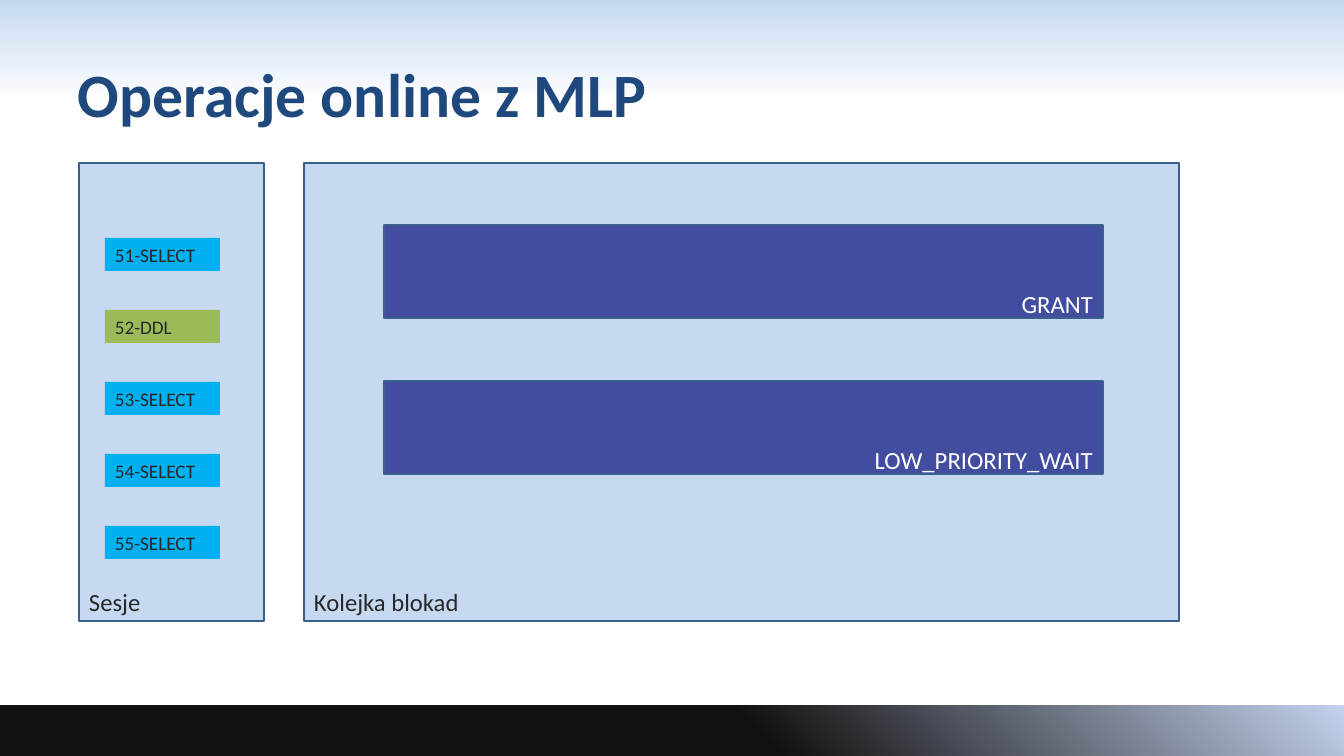
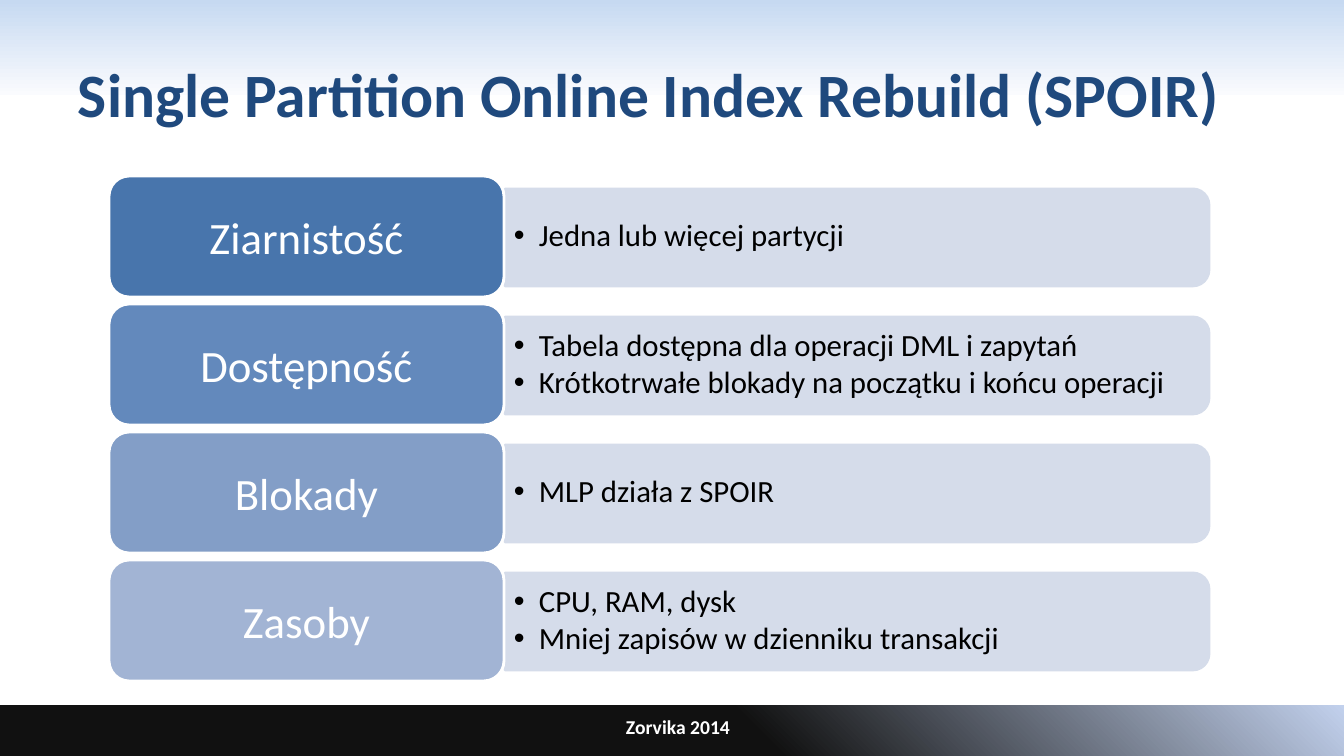
"""Build two slides on online index operations and lock queues."""
import pptx
import pptx.util
import pptx.dml.color
import pptx.enum.shapes
import pptx.enum.text
import pptx.oxml.ns
import lxml.etree

SHAPE = pptx.enum.shapes.MSO_SHAPE
ALIGN = pptx.enum.text.PP_ALIGN
ANCHOR = pptx.enum.text.MSO_ANCHOR

PAGE_WIDTH, PAGE_HEIGHT = 1344, 756
EMU_PER_PX = 12192000 / PAGE_WIDTH
FONT = "Calibri"
COLORS = {
    "title": "1F497D",
    "band_top": "C6D9F1",
    "band_fade": "FAFBFE",
    "footer_dark": "111111",
    "footer_light": "C2D1ED",
    "panel": "C6D9F1",
    "outline": "3A5F8C",
    "queue": "424DA0",
    "select": "00B0F0",
    "ddl": "9BBB59",
    "dark": "282828",
    "black": "000000",
    "white": "FFFFFF",
    "detail": "D5DCEA",
    "topic_1": "4875AC",
    "topic_2": "6389BC",
    "topic_3": "839EC7",
    "topic_4": "A2B4D4",
}
SESSIONS = [
    ("51-SELECT", "select"),
    ("52-DDL", "ddl"),
    ("53-SELECT", "select"),
    ("54-SELECT", "select"),
    ("55-SELECT", "select"),
]
TOPICS = [
    ("Ziarnistość", ["Jedna lub więcej partycji"]),
    ("Dostępność", ["Tabela dostępna dla operacji DML i zapytań",
                    "Krótkotrwałe blokady na początku i końcu operacji"]),
    ("Blokady", ["MLP działa z SPOIR"]),
    ("Zasoby", ["CPU, RAM, dysk", "Mniej zapisów w dzienniku transakcji"]),
]


def px(length):
    return pptx.util.Emu(round(length * EMU_PER_PX))


def rgb(name):
    return pptx.dml.color.RGBColor.from_string(COLORS[name])


def add_bullet(para, indent):
    properties = para._p.get_or_add_pPr()
    properties.set("marL", str(px(indent)))
    properties.set("indent", str(-px(indent)))
    for tag, attribute, value in (("a:buFont", "typeface", "Arial"), ("a:buChar", "char", "•")):
        element = lxml.etree.SubElement(properties, pptx.oxml.ns.qn(tag))
        element.set(attribute, value)


def write_text(shape, *lines, size, color="dark", bold=False, align=ALIGN.LEFT,
               anchor=ANCHOR.MIDDLE, margin_x=10, margin_y=5, bullets=False):
    frame = shape.text_frame
    frame.word_wrap = True
    frame.vertical_anchor = anchor
    frame.margin_left = frame.margin_right = px(margin_x)
    frame.margin_top = frame.margin_bottom = px(margin_y)
    for index, line in enumerate(lines):
        para = frame.add_paragraph() if index else frame.paragraphs[0]
        para.alignment = align
        if bullets:
            para.line_spacing = 0.9
            para.space_after = pptx.util.Pt(3)
            add_bullet(para, 25)
        span = para.add_run()
        span.text = line
        span.font.name = FONT
        span.font.size = pptx.util.Pt(size)
        span.font.bold = bold
        span.font.color.rgb = rgb(color)


def add_box(page, left, top, width, height, fill, outline=None, kind=SHAPE.RECTANGLE):
    box = page.shapes.add_shape(kind, px(left), px(top), px(width), px(height))
    box.shadow.inherit = False
    box.fill.solid()
    box.fill.fore_color.rgb = rgb(fill)
    if outline:
        box.line.color.rgb = rgb(outline)
        box.line.width = pptx.util.Pt(2)
    else:
        box.line.fill.background()
    return box


def add_label(page, left, top, width, height, *lines, **text_format):
    label = page.shapes.add_textbox(px(left), px(top), px(width), px(height))
    write_text(label, *lines, **text_format)


def add_band(page, top, height, start, end, angle, start_position=0):
    band = add_box(page, 0, top, PAGE_WIDTH, height, start)
    band.fill.gradient()
    band.fill.gradient_angle = angle
    first, last = band.fill.gradient_stops
    first.color.rgb, first.position = rgb(start), start_position
    last.color.rgb, last.position = rgb(end), 1


def add_page(deck, title):
    page = deck.slides.add_slide(deck.slide_layouts[6])
    add_band(page, 0, 95, "band_top", "band_fade", 270)
    add_band(page, 705, 51, "footer_dark", "footer_light", 45, start_position=0.56)
    add_label(page, 68, 30, 1210, 126, title, size=44, color="title", bold=True)
    return page


def add_panel(page, left, width, caption):
    panel = add_box(page, left, 163, width, 458, "panel", "outline")
    write_text(panel, caption, size=17.6, anchor=ANCHOR.BOTTOM)


def add_queue(page, top, caption):
    queue = add_box(page, 384, top, 719, 93, "queue", "outline")
    write_text(queue, caption, size=17.6, color="white", align=ALIGN.RIGHT,
               anchor=ANCHOR.BOTTOM, margin_y=0)


def add_topic(page, top, name, details, fill):
    bar_left, bar_top, bar_width, bar_height = 505, top + 13, 704, 97
    shift = (bar_width - bar_height) / 2
    bar = add_box(page, bar_left + shift, bar_top - shift, bar_height, bar_width,
                  "detail", "detail", SHAPE.ROUND_2_SAME_RECTANGLE)
    bar.rotation = 90
    add_label(page, bar_left, top + 17, 699, 88, *details, size=22, color="black",
              margin_x=9, bullets=True)
    topic = add_box(page, 109, top, 395, 121, fill, "white", SHAPE.ROUNDED_RECTANGLE)
    write_text(topic, name, size=32, color="white", align=ALIGN.CENTER)


def build_lock_page(deck):
    page = add_page(deck, "Operacje online z MLP")
    add_panel(page, 304, 875, "Kolejka blokad")
    add_panel(page, 79, 185, "Sesje")
    add_queue(page, 381, "LOW_PRIORITY_WAIT")
    add_queue(page, 225, "GRANT")
    for index, (name, fill) in enumerate(SESSIONS):
        session = add_box(page, 105, 238 + 72 * index, 115, 33, fill)
        write_text(session, name, size=13.7)


def build_rebuild_page(deck):
    page = add_page(deck, "Single Partition Online Index Rebuild (SPOIR)")
    add_label(page, 381, 706, 594, 42, "Zorvika 2014", size=14, color="white",
              bold=True, align=ALIGN.CENTER)
    for index, (name, details) in enumerate(TOPICS):
        add_topic(page, 176 + 128 * index, name, details, f"topic_{index + 1}")


def main():
    deck = pptx.Presentation()
    deck.slide_width, deck.slide_height = px(PAGE_WIDTH), px(PAGE_HEIGHT)
    build_lock_page(deck)
    build_rebuild_page(deck)
    deck.save("out.pptx")


if __name__ == "__main__":
    main()
